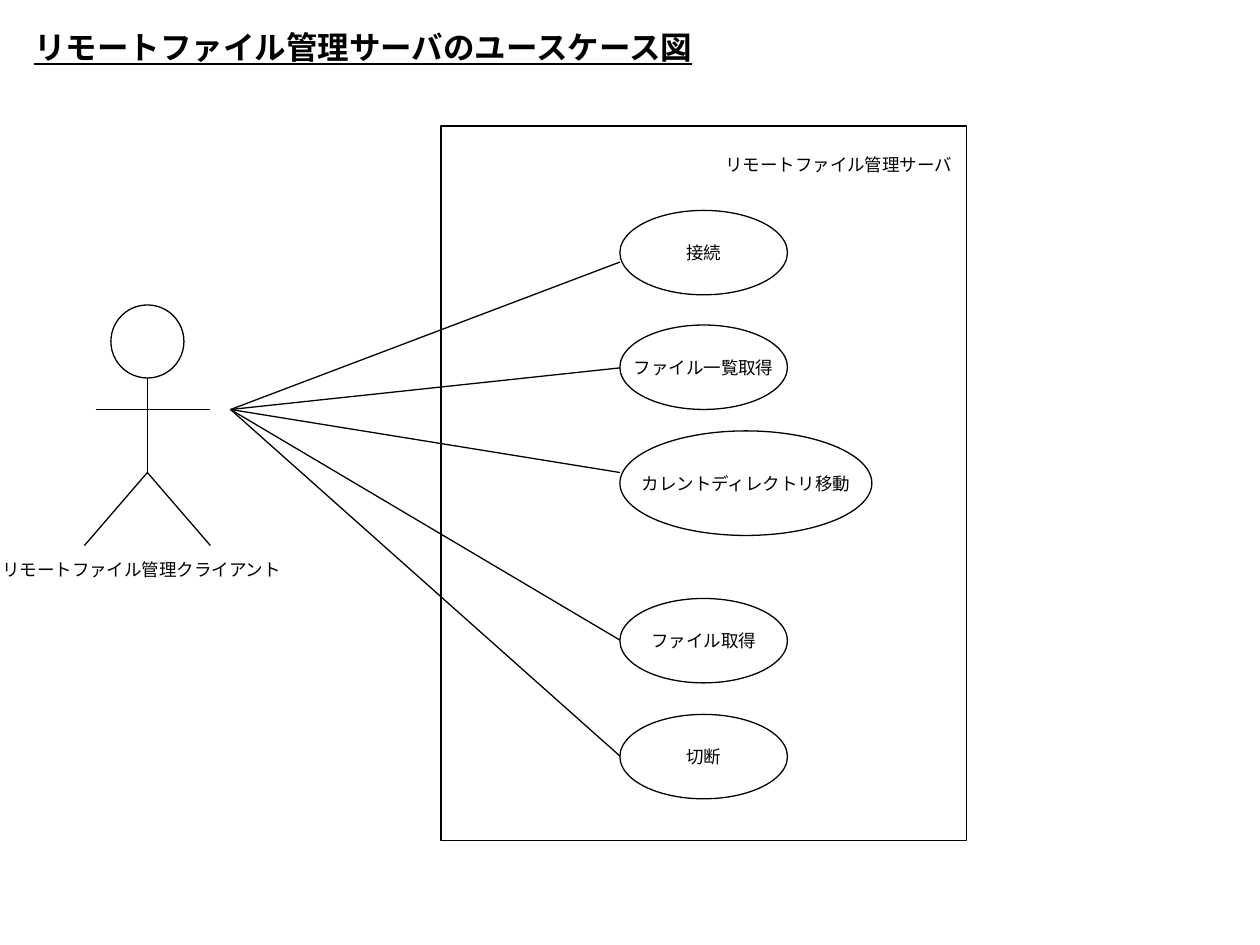
from lxml.etree import SubElement
from pptx import Presentation
from pptx.dml.color import RGBColor
from pptx.enum.shapes import MSO_CONNECTOR as Connector, MSO_SHAPE as Shape
from pptx.enum.text import MSO_ANCHOR as Anchor, MSO_AUTO_SIZE as AutoSize, PP_ALIGN as Align
from pptx.oxml.ns import qn
from pptx.util import Inches, Pt

BLACK = "000000"
CJK = "Noto Sans CJK JP"
LABEL = {"name": "Arial", "size": Pt(10)}
USE_CASE = {"name": CJK, "size": Pt(10)}
HEADING = {"name": CJK, "size": Pt(18), "bold": True, "underline": True}
GROWING = {"word_wrap": False, "auto_size": AutoSize.SHAPE_TO_FIT_TEXT,
           "vertical_anchor": Anchor.TOP}
CENTERED = {"word_wrap": False, "vertical_anchor": Anchor.MIDDLE}

USE_CASES = [
    ("接続", 0.67, 1.33, 0.67, 1.08),
    ("ファイル一覧取得", 1.58, 1.33, 0.67, 1.92),
    ("カレントディレクトリ移動", 2.42, 2, 0.83, 2.75),
    ("ファイル取得", 3.75, 1.33, 0.67, 4.08),
    ("切断", 4.67, 1.33, 0.67, 5),
]


def set_color(color, value):
    color.rgb = RGBColor.from_string(value)


def apply(target, values):
    for key, value in values.items():
        setattr(target, key, value)


def write(shape, text, font, frame, align=Align.LEFT):
    apply(shape.text_frame, frame)
    paragraph = shape.text_frame.paragraphs[0]
    paragraph.alignment = align
    run = paragraph.add_run()
    run.text = text
    apply(run.font, font)
    set_color(run.font.color, BLACK)
    SubElement(run.font._element, qn("a:ea"), typeface=CJK)


def add_label(shapes, text, left, top, width):
    label = shapes.add_textbox(Inches(left), Inches(top), Inches(width), Inches(0.27))
    write(label, text, LABEL, GROWING)


def add_outline(shapes, kind, left, top, width, height):
    outline = shapes.add_shape(kind, Inches(left), Inches(top), Inches(width), Inches(height))
    outline.shadow.inherit = False
    outline.fill.background()
    set_color(outline.line.color, BLACK)
    outline.line.width = Pt(0.75)
    return outline


def add_line(shapes, start, end):
    line = shapes.add_connector(Connector.STRAIGHT, *map(Inches, start + end))
    set_color(line.line.color, BLACK)
    line.line.width = Pt(0.75)
    SubElement(line._element.spPr, qn("a:effectLst"))


def place_heading(slide, left, top, width, height):
    title = slide.shapes.title
    apply(title, {"left": Inches(left), "top": Inches(top),
                  "width": Inches(width), "height": Inches(height)})
    write(title, "リモートファイル管理サーバのユースケース図", HEADING, GROWING)


def draw_client(slide, left, top):
    actor = slide.shapes.add_group_shape().shapes
    middle, arms, hips, feet = left + 0.5, top + 0.83, top + 1.33, top + 1.91
    add_outline(actor, Shape.OVAL, middle - 0.29, top, 0.58, 0.58)
    add_line(actor, (left + 0.09, arms), (left + 1, arms))
    add_line(actor, (middle, top + 0.58), (middle, hips))
    for foot in (left, left + 1):
        add_line(actor, (middle, hips), (foot, feet))
    add_label(actor, "リモートファイル管理クライアント", left - 0.75, top + 1.97, 2.41)


def draw_server(slide, left, top, width, height, client_hand):
    shapes = slide.shapes
    add_outline(shapes, Shape.RECTANGLE, left, top, width, height)
    add_label(shapes, "リモートファイル管理サーバ", left + 2.16, top + 0.17, 2)
    case_left = left + 1.42
    for name, offset, case_width, case_height, link in USE_CASES:
        use_case = add_outline(shapes, Shape.OVAL, case_left, top + offset,
                               case_width, case_height)
        write(use_case, name, USE_CASE, CENTERED, Align.CENTER)
        add_line(shapes, client_hand, (case_left, top + link))


def main():
    deck = Presentation()
    deck.slide_width, deck.slide_height = Inches(10), Inches(7.5)
    slide = deck.slides.add_slide(deck.slide_layouts[5])
    place_heading(slide, 0.17, 0.17, 5.45, 0.4)
    draw_server(slide, 3.5, 1, 4.17, 5.67, client_hand=(1.83, 3.25))
    draw_client(slide, 0.67, 2.42)
    deck.save("out.pptx")


if __name__ == "__main__":
    main()
